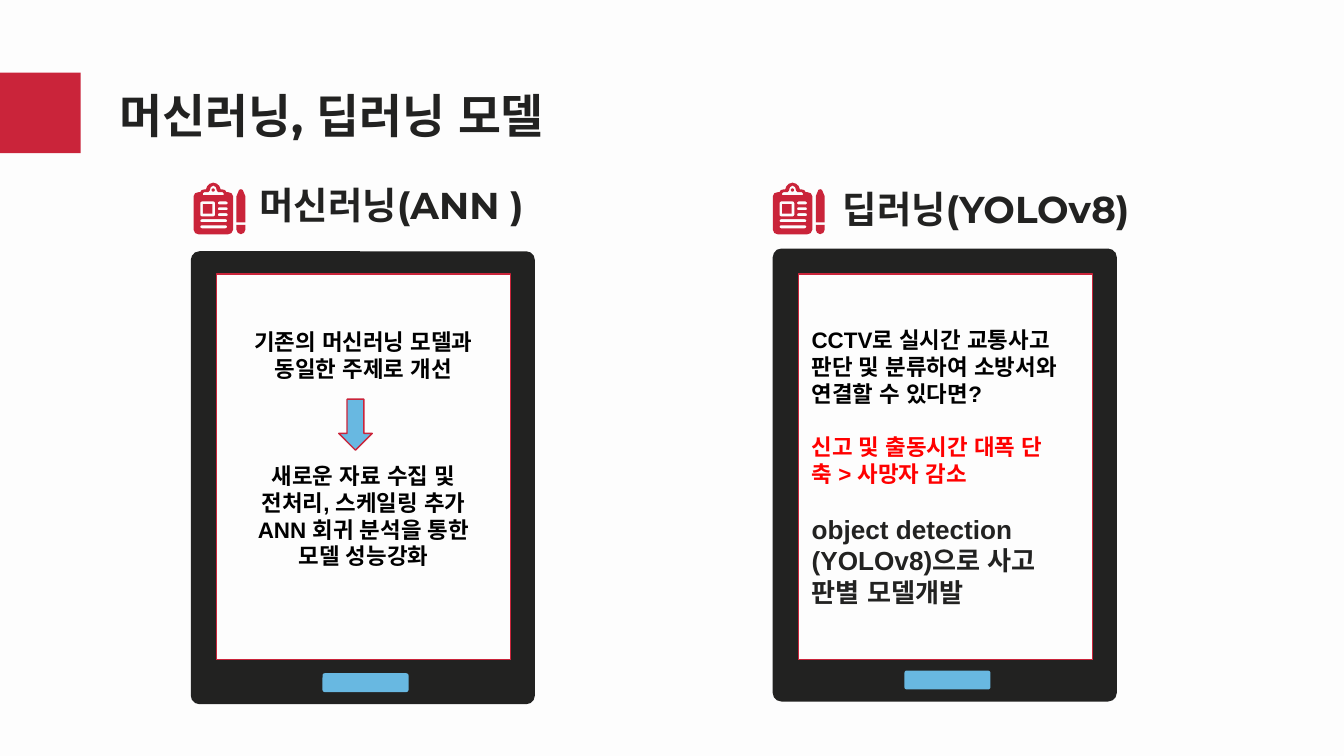
from pptx import Presentation
from pptx.dml.color import RGBColor
from pptx.enum.lang import MSO_LANGUAGE_ID
from pptx.enum.shapes import MSO_SHAPE
from pptx.enum.text import MSO_ANCHOR, MSO_AUTO_SIZE, PP_ALIGN
from pptx.util import Inches, Pt

RECT = MSO_SHAPE.RECTANGLE
ROUND = MSO_SHAPE.ROUNDED_RECTANGLE
ARROW = MSO_SHAPE.DOWN_ARROW
LEFT, CENTER = PP_ALIGN.LEFT, PP_ALIGN.CENTER
TOP, MIDDLE, BOTTOM = MSO_ANCHOR.TOP, MSO_ANCHOR.MIDDLE, MSO_ANCHOR.BOTTOM
FIXED = MSO_AUTO_SIZE.NONE
KOREAN = MSO_LANGUAGE_ID.KOREAN

RED, DARK, BLUE, PAPER = "CA243A", "222221", "68B8E1", "FDFDFD"
BLACK, ALERT = "000000", "FF0000"


def paint(fill, color):
    fill.solid()
    fill.fore_color.rgb = RGBColor.from_string(color)


def style(shape, color, line=None):
    shape.shadow.inherit = False
    paint(shape.fill, color)
    if line:
        paint(shape.line.fill, line)
        shape.line.width = Pt(0.75)
    else:
        shape.line.fill.background()


def block(slide, kind, x, y, w, h, color, line=None, bend=None):
    shape = slide.shapes.add_shape(kind, Inches(x), Inches(y), Inches(w), Inches(h))
    style(shape, color, line)
    if bend is not None:
        shape.adjustments[0] = bend
    return shape


def write(para, text, size=12, color=BLACK, font="Arial", align=LEFT, before=0):
    para.alignment = align
    para.space_before = Pt(before)
    run = para.add_run()
    run.text = text
    run.font.size = Pt(size)
    run.font.name = font
    run.font.bold = True
    run.font.language_id = KOREAN
    run.font.color.rgb = RGBColor.from_string(color)


def setup(frame, anchor, top=0.1):
    frame.word_wrap = True
    frame.auto_size = FIXED
    frame.vertical_anchor = anchor
    frame.margin_left = frame.margin_right = frame.margin_bottom = Inches(0.1)
    frame.margin_top = Inches(top)


def label(holder, box, text, size, anchor):
    holder.left, holder.top, holder.width, holder.height = map(Inches, box)
    setup(holder.text_frame, anchor)
    write(holder.text_frame.paragraphs[0], text, size=size, color=DARK, font="Montserrat")


# Icon outlines, in hundredths of an inch
def pill(x, y, w, h, r):
    c = r * 0.3
    return [(x + r, y), (x + w - r, y), (x + w - c, y + c), (x + w, y + r),
            (x + w, y + h - r), (x + w - c, y + h - c), (x + w - r, y + h),
            (x + r, y + h), (x + c, y + h - c), (x, y + h - r),
            (x, y + r), (x + c, y + c)]


def mirror(half, width=29.4):
    return half + [(width - x, y) for x, y in reversed(half)]


BOARD = mirror([(4, 38.5), (1.2, 37.5), (0, 35), (0, 10), (1.2, 7.8), (4, 7),
                (5, 7), (6, 5.5), (8, 5), (9.2, 5), (10.2, 2.5), (12, 0.8), (14.6, 0)])
CLIP = mirror([(7, 9.2), (7, 7.8), (8, 7), (11, 7), (12, 6), (12.8, 3.3), (14.6, 2.2)])
LINES = [pill(18, y, 7.5, 2.2, 1.1) for y in (14, 18.3, 22.7)]
LINES += [pill(5, y, 20, 2.2, 1.1) for y in (27.2, 31.7)]
ICON = [
    [pill(13.4, 4.2, 2.5, 2.5, 1.2)],                          # clip hole
    [pill(7, 16, 7, 7, 0)],                                    # picture
    [BOARD, CLIP, pill(5, 14, 11, 11, 1), *LINES],             # board
    [mirror([(32, 29.5), (32, 10), (34, 5.3), (35.3, 4.8)], 70.6)],            # pen
    [mirror([(32, 31.3), (32, 35), (33, 37.3), (35.3, 38.3)], 70.6)],          # pen end
]


def icon(slide, x, y):
    for part in ICON:
        rings = [[(Inches(x + a / 100), Inches(y + b / 100)) for a, b in ring]
                 for ring in part]
        pen = slide.shapes.build_freeform(*rings[0][0])
        pen.add_line_segments(rings[0][1:])
        for ring in rings[1:]:
            pen.move_to(*ring[0])
            pen.add_line_segments(ring[1:])
        style(pen.convert_to_shape(), RED)


def tablet(slide, x, y, inset, top, lines):
    block(slide, ROUND, x, y, 2.56, 3.37, DARK, bend=0.025)
    block(slide, ROUND, x + 0.98, y + 3.14, 0.64, 0.14, BLUE, bend=0.12)
    screen = block(slide, RECT, x + 0.19, y + inset, 2.19, 2.87, PAPER, line=RED)
    frame = screen.text_frame
    setup(frame, TOP, top)
    for i, (text, form) in enumerate(lines):
        para = frame.add_paragraph() if i else frame.paragraphs[0]
        write(para, text, **form)


def main():
    deck = Presentation()
    deck.slide_width = Inches(10)
    deck.slide_height = deck.slide_width * 9 // 16
    slide = deck.slides.add_slide(deck.slide_layouts[4])
    paint(slide.background.fill, PAPER)
    holders = {h.placeholder_format.idx: h for h in slide.placeholders}
    for idx in (2, 4):
        item = holders[idx].element
        item.getparent().remove(item)

    # Title and headings
    block(slide, RECT, 0, 0.54, 0.6, 0.6, RED)
    label(holders[0], (0.79, 0.54, 8.43, 0.63), "머신러닝, 딥러닝 모델", 25, MIDDLE)
    label(holders[1], (1.83, 1.25, 2.65, 0.54), "머신러닝(ANN )", 20, BOTTOM)
    label(holders[3], (6.17, 1.28, 3.09, 0.54), "딥러닝(YOLOv8)", 20, BOTTOM)
    for x in (1.44, 5.75):
        icon(slide, x, 1.36)

    # Machine learning
    mid = {"align": CENTER}
    tablet(slide, 1.42, 1.87, 0.17, 0.4, [
        ("기존의 머신러닝 모델과", mid),
        ("동일한 주제로 개선", mid),
        ("새로운 자료 수집 및", {"align": CENTER, "before": 43}),
        ("전처리, 스케일링 추가", mid),
        ("ANN 회귀 분석을 통한", mid),
        ("모델 성능강화", mid),
    ])
    block(slide, ARROW, 2.52, 2.97, 0.25, 0.38, BLUE, line=RED)

    # Deep learning
    tablet(slide, 5.75, 1.85, 0.19, 0.39, [
        ("CCTV로 실시간 교통사고 판단 및 분류하여 소방서와 연결할 수 있다면?", {}),
        ("신고 및 출동시간 대폭 단축 > 사망자 감소", {"color": ALERT, "before": 14}),
        ("object detection", {"size": 14, "color": DARK, "before": 14}),
        ("(YOLOv8)으로 사고 판별 모델개발", {"size": 14, "color": DARK}),
    ])
    deck.save("out.pptx")


if __name__ == "__main__":
    main()
